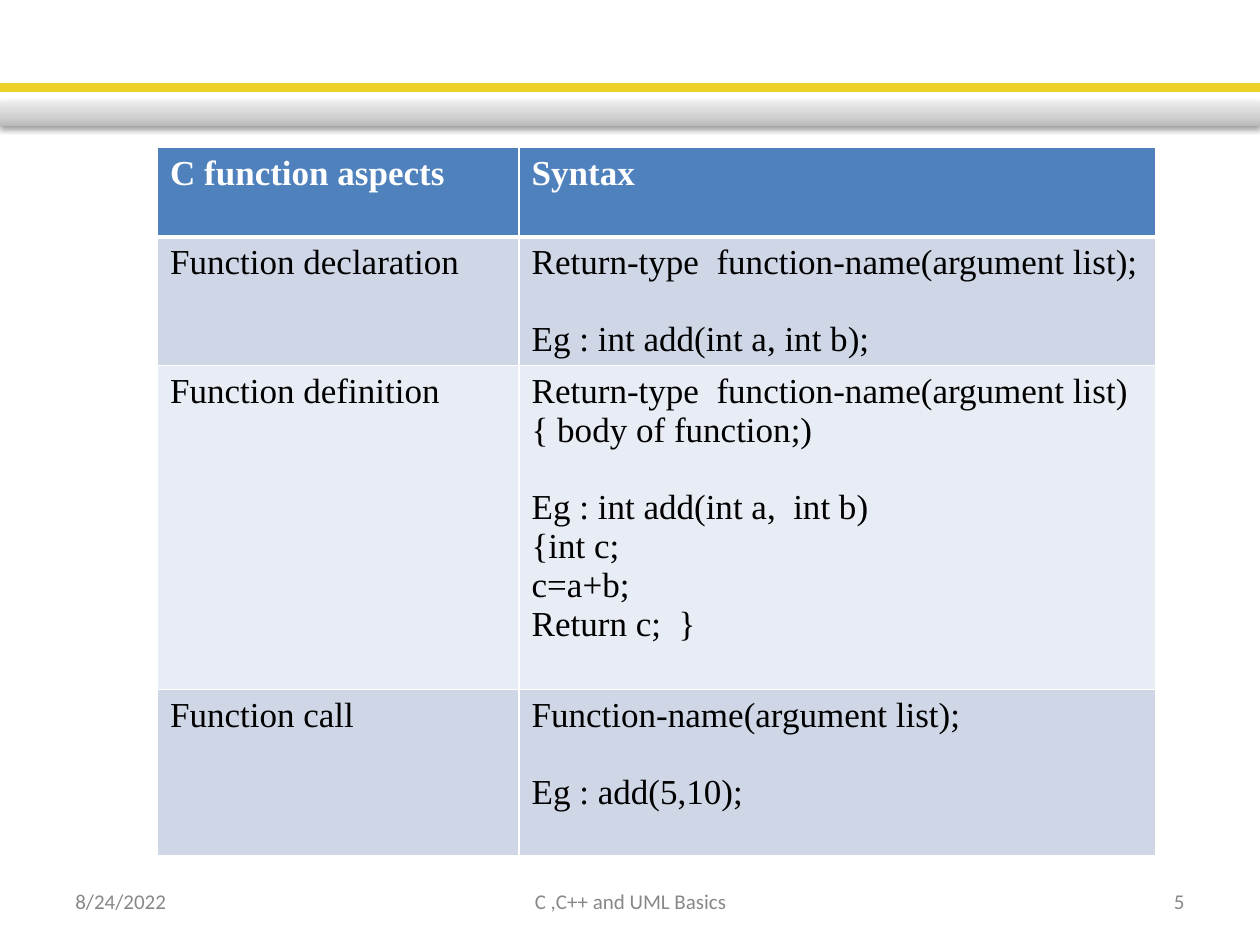
from pptx import Presentation
from pptx.dml.color import RGBColor
from pptx.enum.shapes import MSO_SHAPE
from pptx.enum.text import MSO_ANCHOR, PP_ALIGN
from pptx.oxml import parse_xml
from pptx.oxml.ns import nsdecls
from pptx.util import Inches, Pt

COLORS = {
    "yellow": "EED126", "header": "4F81BD", "band_dark": "CFD7E7",
    "band_light": "E8ECF4", "white": "FFFFFF", "black": "000000",
    "footer": "888888",
}
BAR_STOPS = [(0, "BABABA"), (35, "CFCFCF"), (100, "EDEDED")]
GAP = ""
ROWS = [
    (0.71, ["C function aspects"], ["Syntax"]),
    (1.02, ["Function declaration"],
     ["Return-type  function-name(argument list);", GAP,
      "Eg : int add(int a, int b);"]),
    (2.57, ["Function definition"],
     ["Return-type  function-name(argument list)", "{ body of function;)", GAP,
      "Eg : int add(int a,  int b)", "{int c;", "c=a+b;", "Return c;  }"]),
    (1.32, ["Function call"],
     ["Function-name(argument list);", GAP, "Eg : add(5,10);"]),
]
FOOTERS = [
    (0.5, 2.33, "8/24/2022", PP_ALIGN.LEFT),
    (3.42, 3.17, "C ,C++ and UML Basics", PP_ALIGN.CENTER),
    (7.17, 2.33, "5", PP_ALIGN.RIGHT),
]


def color(name):
    """Return the named colour."""
    return RGBColor.from_string(COLORS[name])


class SlideBuilder:
    """Holds the style and the current slide."""

    table_font = "Times New Roman"
    footer_font = "Calibri"
    table_size = 20
    footer_size = 12
    gap_height = Pt(22)

    def __init__(self, slide):
        """Keep the slide to draw on."""
        self.slide = slide

    def format_text(self, paragraph, font, size, color_name, bold=False):
        """Format every run of a paragraph."""
        for run in paragraph.runs:
            run.font.name = font
            run.font.size = Pt(size)
            run.font.bold = bold
            run.font.color.rgb = color(color_name)

    def stripe(self, top, height):
        """Add a full-width rectangle."""
        stripe = self.slide.shapes.add_shape(
            MSO_SHAPE.RECTANGLE, 0, Inches(top), Inches(10), Inches(height))
        stripe.shadow.inherit = False
        return stripe

    def solid_stripe(self, top, height, color_name):
        """Add a stripe with a plain fill and a matching line."""
        stripe = self.stripe(top, height)
        stripe.fill.solid()
        stripe.fill.fore_color.rgb = color(color_name)
        stripe.line.color.rgb = color(color_name)
        stripe.line.width = Pt(2)

    def shaded_stripe(self, top, height, stops):
        """Add a stripe with a vertical gradient and a soft shadow."""
        stripe = self.stripe(top, height)
        stripe.line.fill.background()
        stop_xml = "".join(
            f'<a:gs pos="{position * 1000}"><a:srgbClr val="{value}"/></a:gs>'
            for position, value in stops)
        properties = stripe._element.spPr
        properties.prstGeom.addnext(parse_xml(
            f'<a:gradFill {nsdecls("a")} rotWithShape="1"><a:gsLst>{stop_xml}'
            '</a:gsLst><a:lin ang="16200000" scaled="0"/></a:gradFill>'))
        properties.find("{*}effectLst").append(parse_xml(
            f'<a:outerShdw {nsdecls("a")} blurRad="{Pt(3.1)}" dist="{Pt(1.6)}" '
            f'dir="5400000" rotWithShape="0"><a:srgbClr val="{COLORS["black"]}">'
            '<a:alpha val="38000"/></a:srgbClr></a:outerShdw>'))

    def cell(self, cell, lines, fill, text_color, bold, bottom_width):
        """Fill, border and write one table cell."""
        properties = cell._tc.get_or_add_tcPr()
        for side, width in zip("LRTB", (1, 1, 1, bottom_width)):
            properties.append(parse_xml(
                f'<a:ln{side} {nsdecls("a")} w="{Pt(width)}"><a:solidFill>'
                f'<a:srgbClr val="{COLORS["white"]}"/></a:solidFill></a:ln{side}>'))
        cell.fill.solid()
        cell.fill.fore_color.rgb = color(fill)
        cell.text_frame.text = "\n".join(line for line in lines if line != GAP)
        written = iter(cell.text_frame.paragraphs)
        after_gap = False
        for line in lines:
            if line != GAP:
                paragraph = next(written)
                if after_gap:
                    paragraph.space_before = self.gap_height
                self.format_text(paragraph, self.table_font, self.table_size,
                                 text_color, bold)
            after_gap = line == GAP

    def table(self, left, top, widths, rows):
        """Add the banded table with a header row."""
        heights = [row[0] for row in rows]
        table = self.slide.shapes.add_table(
            len(rows), len(widths), Inches(left), Inches(top),
            Inches(sum(widths)), Inches(sum(heights))).table
        for column, width in zip(table.columns, widths):
            column.width = Inches(width)
        for index, (height, *contents) in enumerate(rows):
            table.rows[index].height = Inches(height)
            if index == 0:
                style = ("header", "white", True, 3)
            else:
                band = "band_dark" if index % 2 else "band_light"
                style = (band, "black", False, 1)
            for cell, lines in zip(table.rows[index].cells, contents):
                self.cell(cell, lines, *style)

    def footer(self, left, width, text, alignment):
        """Add one footer text."""
        frame = self.slide.shapes.add_textbox(
            Inches(left), Inches(6.95), Inches(width), Inches(0.4)).text_frame
        frame.word_wrap = True
        frame.vertical_anchor = MSO_ANCHOR.MIDDLE
        frame.text = text
        paragraph = frame.paragraphs[0]
        paragraph.alignment = alignment
        self.format_text(paragraph, self.footer_font, self.footer_size, "footer")


def main():
    """Build and save the slide."""
    presentation = Presentation()
    presentation.slide_width = Inches(10)
    presentation.slide_height = Inches(7.5)
    builder = SlideBuilder(
        presentation.slides.add_slide(presentation.slide_layouts[6]))
    builder.solid_stripe(0.67, 0.05, "yellow")
    builder.shaded_stripe(0.8, 0.2, BAR_STOPS)
    builder.table(1.25, 1.17, [2.87, 5.05], ROWS)
    for footer in FOOTERS:
        builder.footer(*footer)
    presentation.save("out.pptx")


if __name__ == "__main__":
    main()
